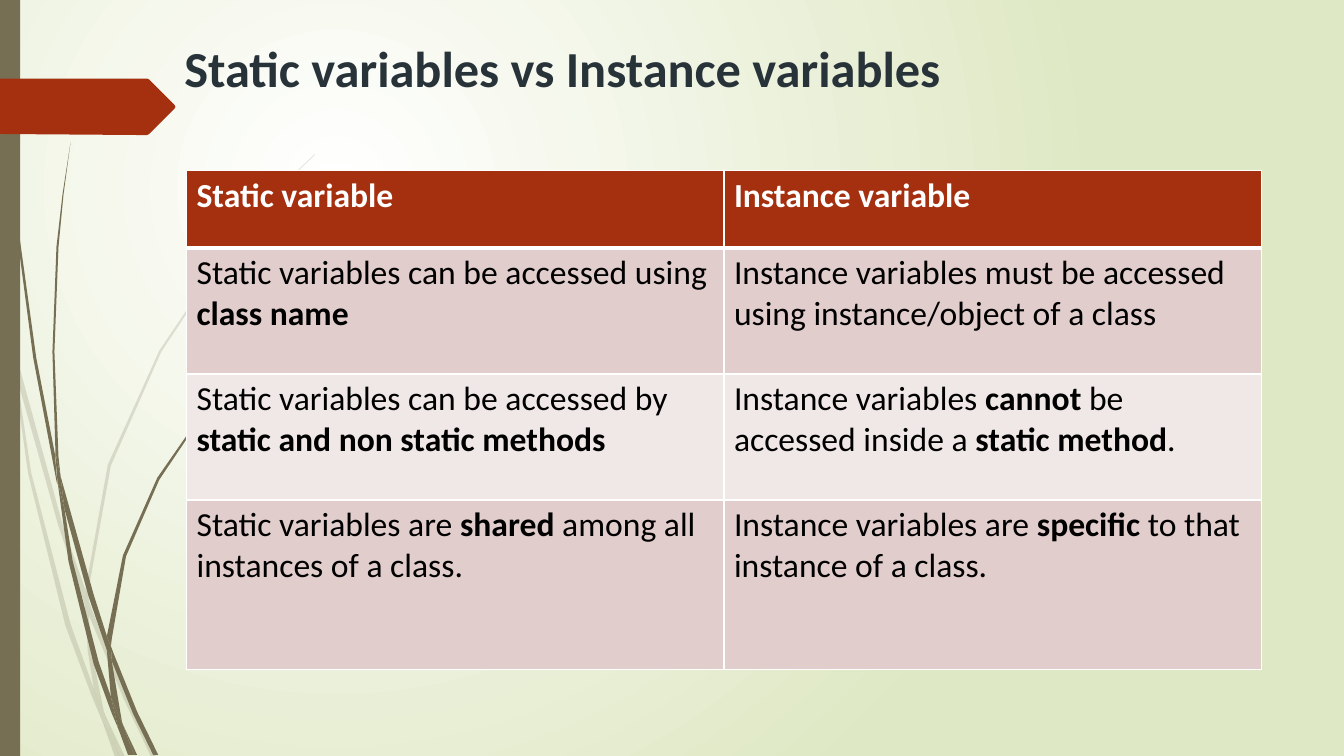
from lxml import etree
from pptx import Presentation
from pptx.dml.color import RGBColor
from pptx.enum import shapes, text
from pptx.oxml import ns
from pptx.util import Pt

PX = 9144  # 100 px to the inch
FONT = "Calibri"
HEX = {"olive": "766F54", "rust": "A53010", "ink": "273239", "white": "FFFFFF",
       "black": "000000", "pale": "DFE8C4", "rose": "E1CDCC", "blush": "F0E8E7"}


def paint(shape, name):
    shape.shadow.inherit = False
    shape.line.fill.background()
    shape.fill.solid()
    shape.fill.fore_color.rgb = RGBColor.from_string(HEX[name])


def write(para, words, size, name, bold):
    run = para.add_run()
    run.text = words
    run.font.name = FONT
    run.font.size = Pt(size)
    run.font.bold = bold
    run.font.color.rgb = RGBColor.from_string(HEX[name])


deck = Presentation()
deck.slide_width, deck.slide_height = 1333 * PX, 750 * PX
slide = deck.slides.add_slide(deck.slide_layouts[6])

# Background: radial glow
glow = slide.background.fill
glow.gradient()
for stop, name in zip(glow.gradient_stops, ("white", "pale")):
    stop.color.rgb = RGBColor.from_string(HEX[name])
lin = next(slide.element.iter(ns.qn("a:lin")))
ring = etree.Element(ns.qn("a:path"), path="circle")
etree.SubElement(ring, ns.qn("a:fillToRect"), l="50000", t="50000", r="100000", b="100000")
lin.getparent().replace(lin, ring)

# Grass: outlines of the faint and the dark blades
faint = [
    [(11, 350), (9, 322), (0, 282), (0, 299), (10, 344)],
    [(58, 522), (84, 599), (85, 586), (62, 520), (14, 345), (17, 376)],
    [(92, 607), (88, 596), (88, 610), (123, 694), (150, 751), (155, 751), (127, 692)],
    [(119, 751), (124, 751), (105, 711)],
    [(93, 683), (70, 619), (31, 469), (17, 376), (11, 350), (28, 470), (65, 621),
     (92, 693), (101, 714), (99, 707)],
    [(84, 599), (87, 646), (93, 683), (96, 692), (105, 711), (103, 706), (91, 646),
     (88, 610), (88, 608)],
    [(88, 584), (110, 462), (160, 349), (229, 245), (268, 198), (290, 175), (312, 154),
     (312, 153), (289, 175), (268, 197), (228, 244), (158, 348), (107, 461), (85, 584),
     (85, 586), (88, 596)],
    [(101, 714), (114, 751), (119, 751)],
    [(88, 608), (88, 610), (88, 596), (85, 586), (84, 599)],
    [(96, 692), (93, 683), (99, 707), (101, 714), (119, 751), (105, 711)],
]
dark = [
    [(7, 110), (17, 233), (33, 355), (56, 477), (57, 481), (55, 457), (55, 453), (36, 355),
     (19, 232), (8, 109), (5, 48), (4, 0), (3, 0), (4, 48)],
    [(88, 592), (106, 645), (106, 633), (106, 631), (93, 590), (60, 472), (64, 505)],
    [(113, 649), (110, 641), (111, 656), (132, 708), (152, 749), (157, 749), (136, 706)],
    [(110, 691), (98, 657), (72, 556), (64, 505), (57, 477), (68, 557), (93, 659),
     (111, 708), (117, 722), (116, 717)],
    [(60, 472), (58, 453), (54, 349), (58, 245), (63, 193), (70, 141), (62, 193), (56, 245),
     (52, 349), (55, 449)],
    [(133, 749), (136, 749), (122, 719)],
    [(57, 477), (64, 505), (60, 472), (55, 449), (55, 453)],
    [(111, 633), (125, 552), (158, 476), (205, 406), (231, 374), (245, 359), (261, 344),
     (260, 344), (245, 358), (231, 373), (204, 405), (156, 474), (122, 551), (106, 631),
     (110, 641)],
    [(117, 722), (127, 749), (131, 749)],
    [(106, 645), (110, 691), (116, 706), (122, 719), (121, 716), (111, 656), (109, 651)],
    [(106, 645), (109, 651), (111, 656), (110, 641), (106, 631), (106, 633)],
    [(116, 706), (110, 691), (116, 717), (117, 722), (130, 749), (133, 749), (122, 719)],
]
for blades, alpha in ((faint, 20000), (dark, 100000)):
    tuft = slide.shapes.add_group_shape()
    for pts in blades:
        pen = tuft.shapes.build_freeform(*pts[0], scale=PX)
        pen.add_line_segments(pts[1:], close=True)
        blade = pen.convert_to_shape()
        paint(blade, "olive")
        if alpha < 100000:
            tint = next(blade.element.spPr.iter(ns.qn("a:srgbClr")))
            etree.SubElement(tint, ns.qn("a:alpha"), val=str(alpha))

# Side bar and flag
bar = slide.shapes.add_shape(shapes.MSO_SHAPE.RECTANGLE, 0, 0, 20 * PX, 750 * PX)
paint(bar, "olive")
pen = slide.shapes.build_freeform(0, 78, scale=PX)
pen.add_line_segments([(146, 78), (148, 79), (173, 104), (174, 106), (173, 108),
                       (148, 133), (146, 134), (136, 134), (0, 133)], close=True)
paint(pen.convert_to_shape(), "rust")

# Title
title = slide.shapes.add_textbox(173 * PX, 32 * PX, 1150 * PX, 89 * PX).text_frame
title.word_wrap = True
title.vertical_anchor = text.MSO_ANCHOR.TOP
write(title.paragraphs[0], "Static variables vs Instance variables", 36, "ink", True)

# Table: asterisks enclose bold words
rows = [
    (77, "rust", "*Static variable*", "*Instance variable*"),
    (125, "rose", "Static variables can be accessed using *class name*",
     "Instance variables must be accessed using instance/object of a class"),
    (125, "blush", "Static variables can be accessed by *static and non static methods*",
     "Instance variables *cannot* be accessed inside a *static method*."),
    (168, "rose", "Static variables are *shared* among all instances of a class.",
     "Instance variables are *specific* to that instance of a class."),
]
grid = slide.shapes.add_table(len(rows), 2, 185 * PX, 169 * PX, 1066 * PX, 495 * PX).table
for col in grid.columns:
    col.width = 533 * PX
for r, (high, fill, *cells) in enumerate(rows):
    grid.rows[r].height = high * PX
    for c, words in enumerate(cells):
        cell = grid.cell(r, c)
        props = cell._tc.get_or_add_tcPr()
        for side in "LRTB":
            thick = 3 if (r, side) in ((0, "B"), (1, "T")) else 1
            edge = etree.SubElement(props, ns.qn("a:ln" + side), w=str(Pt(thick)))
            solid = etree.SubElement(edge, ns.qn("a:solidFill"))
            etree.SubElement(solid, ns.qn("a:srgbClr"), val=HEX["white"])
        cell.fill.solid()
        cell.fill.fore_color.rgb = RGBColor.from_string(HEX[fill])
        para = cell.text_frame.paragraphs[0]
        for i, part in enumerate(words.split("*")):
            if part:
                write(para, part, 24, "black" if r else "white", i % 2 == 1)

deck.save("out.pptx")
